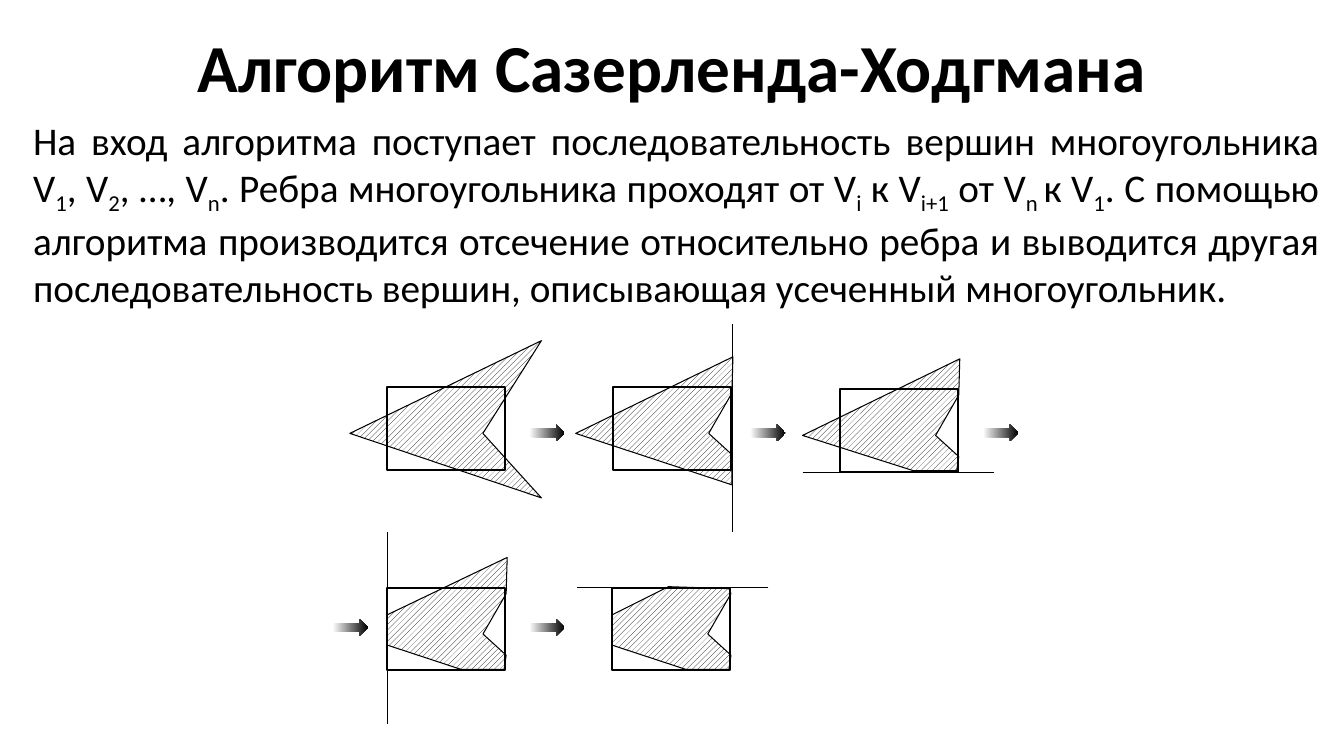
from pptx import Presentation
from pptx.dml.color import RGBColor
from pptx.enum.dml import MSO_PATTERN_TYPE as Pattern
from pptx.enum.shapes import MSO_CONNECTOR as Connector, MSO_SHAPE as Shape
from pptx.enum.text import PP_ALIGN as Align
from pptx.oxml.ns import qn
from pptx.util import Inches, Pt
from lxml.etree import SubElement


def color(hex_text):
    return RGBColor.from_string(hex_text)


class Board:
    """Style and current page; lengths are grid cells, ten to the inch."""
    cell = Inches(0.1)
    ink, paper = color("000000"), color("FFFFFF")
    thin, thick = Pt(0.75), Pt(1.5)
    font = "Calibri"

    def __init__(self, deck):
        self.page = deck.slides.add_slide(deck.slide_layouts[6])
        self.shapes = self.page.shapes

    def grid(self, *cells):
        return [round(value * self.cell) for value in cells]

    def outline(self, shape, width):
        shape.line.color.rgb = self.ink
        shape.line.width = width

    def text(self, area, content, align, **style):
        """Write a paragraph; every second part between bars is a subscript."""
        box = self.shapes.add_textbox(*self.grid(*area))
        box.text_frame.word_wrap = True
        para = box.text_frame.paragraphs[0]
        para.alignment = align
        for index, part in enumerate(content.split("|")):
            span = para.add_run()
            span.text = part
            for name, value in {"name": self.font, **style}.items():
                setattr(span.font, name, value)
            span.font.color.rgb = self.ink
            if index % 2:
                span.font._element.set("baseline", "-25000")

    def polygon(self, points):
        start, *rest = [self.grid(*point) for point in points]
        builder = self.shapes.build_freeform(*start, scale=1.0)
        builder.add_line_segments(rest, close=True)
        shape = builder.convert_to_shape()
        shape.shadow.inherit = False
        shape.fill.patterned()
        shape.fill.pattern = Pattern.WIDE_UPWARD_DIAGONAL
        shape.fill.fore_color.rgb = self.ink
        shape.fill.back_color.rgb = self.paper
        self.outline(shape, self.thin)

    def frame(self, area):
        shape = self.shapes.add_shape(Shape.RECTANGLE, *self.grid(*area))
        shape.shadow.inherit = False
        shape.fill.background()
        self.outline(shape, self.thick)

    def line(self, start, end):
        edge = self.shapes.add_connector(Connector.STRAIGHT, *self.grid(*start, *end))
        self.outline(edge, self.thin)
        SubElement(edge._element.spPr, qn("a:effectLst"))

    def arrow(self, area):
        shape = self.shapes.add_shape(Shape.RIGHT_ARROW, *self.grid(*area))
        shape.shadow.inherit = False
        shape.fill.gradient()
        shape.fill.gradient_angle = 0
        for stop, tone, place in zip(shape.fill.gradient_stops, (self.paper, self.ink), (0, 1)):
            stop.color.rgb = tone
            stop.position = place
        shape.line.fill.background()


deck = Presentation()
deck.slide_width, deck.slide_height = Inches(13.33), Inches(7.5)
board = Board(deck)

# Title and description
board.text((0, 2, 133.3, 9.1), "Алгоритм Сазерленда-Ходгмана", Align.CENTER,
           size=Pt(48), bold=True)
board.text((2.3, 11, 129.5, 24.6),
           "На вход алгоритма поступает последовательность вершин многоугольника "
           "V|1|, V|2|, …, V|n|. Ребра многоугольника проходят от V|i| к V|i+1| от V|n |к V|1|. "
           "С помощью алгоритма производится отсечение относительно ребра и выводится "
           "другая последовательность вершин, описывающая усеченный многоугольник.",
           Align.JUSTIFY, size=Pt(28))

# Clipping stages: window corner, then vertices and clip edge relative to it
window_size = (11.7, 8.2)
tip = (-3.7, 4.6)
notch = [(11.8, 0.6), (9.5, 4.6), (11.8, 6.7)]
floor = [(11.6, 8.1), (7.3, 8.1)]
left_cut = [(0, 5.7), (0, 2.7)]
top_right = (11.9, -3)
stages = [
    ((38.4, 38.4), [tip, (15.3, -4.6), (9.5, 4.6), (15.3, 11)], None),
    ((60.8, 38.4), [tip, top_right, *notch, (11.8, 9.7)], [(11.9, -6.3), (11.9, 14.4)]),
    ((83.3, 38.6), [tip, top_right, *notch, *floor], [(-3.7, 8.3), (15.3, 8.3)]),
    ((38.4, 58.3), [top_right, *notch, *floor, *left_cut], [(0, 13.5), (0, -5.5)]),
    ((60.7, 58.3), [(5.6, -0.1), (11.6, 0.1), *notch, *floor, *left_cut],
     [(15.5, 0), (-3.5, 0)]),
]
for (left, top), vertices, clip_edge in stages:
    board.polygon([(left + x, top + y) for x, y in vertices])
    board.frame((left, top, *window_size))
    if clip_edge:
        board.line(*[(left + x, top + y) for x, y in clip_edge])

# Arrows between stages
for top, lefts in ((42.1, (52.5, 74.4, 97.5)), (61.4, (33, 52.5))):
    for left in lefts:
        board.arrow((left, top, 3.5, 1.7))

deck.save("out.pptx")
